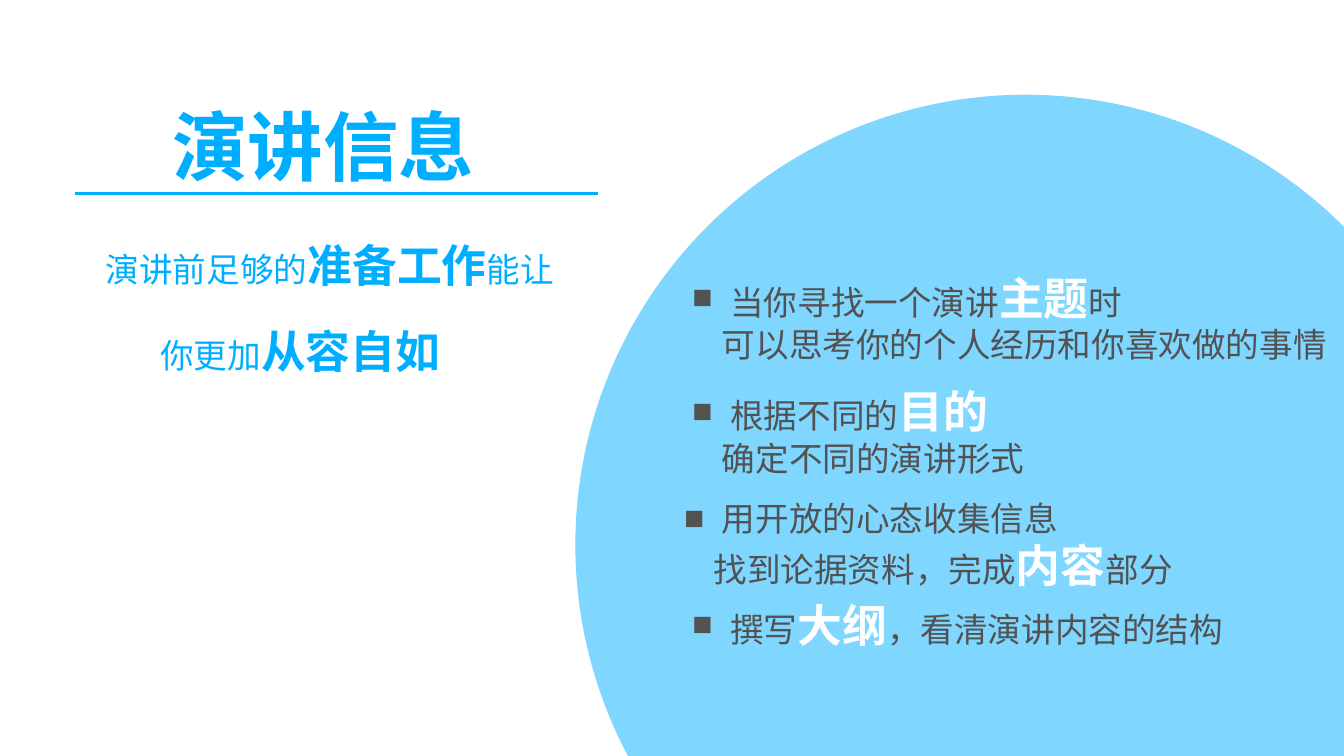
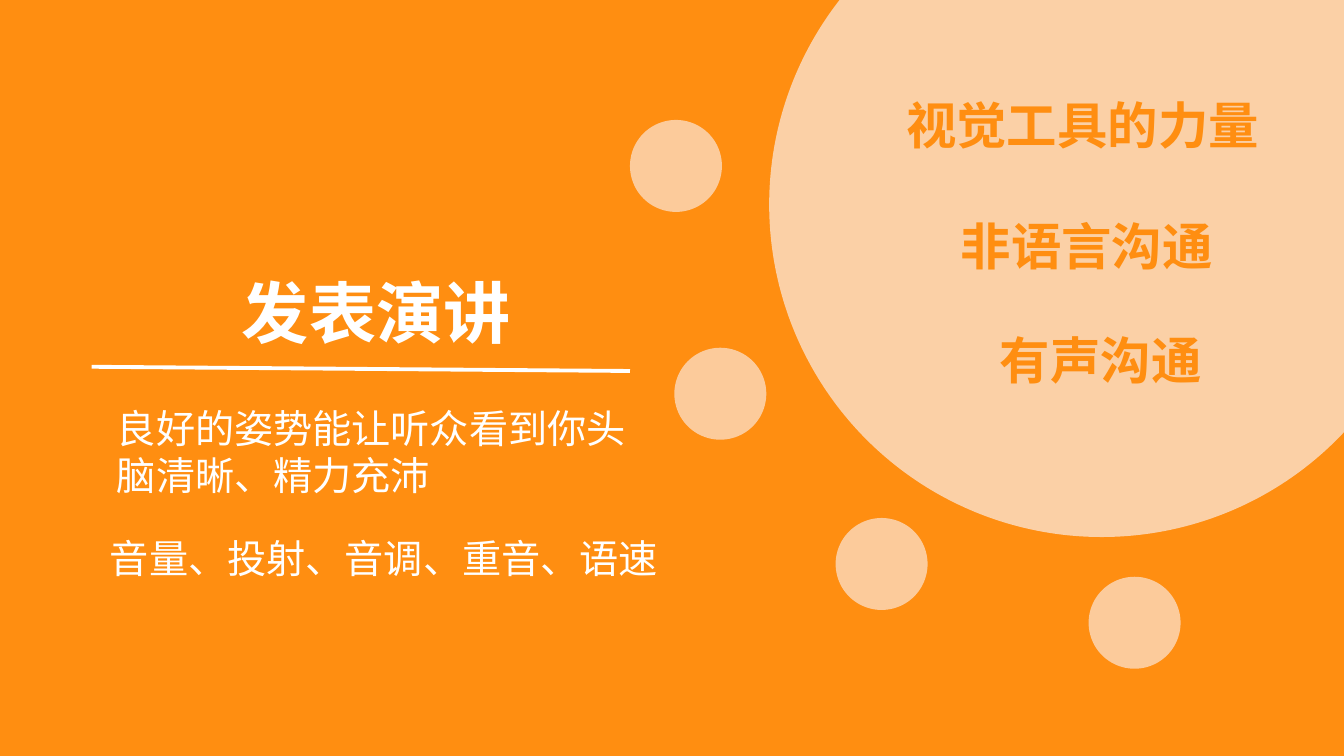
from lxml.etree import SubElement as Sub
from pptx import Presentation
from pptx.dml.color import RGBColor as Rgb
from pptx.enum.shapes import MSO_CONNECTOR as Conn, MSO_SHAPE as Kind
from pptx.enum.text import MSO_ANCHOR as Anchor, MSO_AUTO_SIZE as Auto, PP_ALIGN as Align
from pptx.oxml.ns import qn
from pptx.util import Pt

FONT = "Noto Sans CJK SC"
HUES = {
    "blue": "00AEFF",
    "orange": "FF8E11",
    "peach": "FBE5D6",
    "gray": "525252",
    "white": "FFFFFF",
}
LIST = [
    ("当你寻找一个演讲*主题*时", "可以思考你的个人经历和你喜欢做的事情", 6, 0),
    ("根据不同的*目的*", "确定不同的演讲形式", 6, 14),
    ("用开放的心态收集信息", "找到论据资料，完成*内容*部分", 0, 14),
    ("撰写*大纲*，看清演讲内容的结构", None, 6, 4),
]


def hue(name):
    """Return the named colour."""
    return Rgb.from_string(HUES[name])


def style(run, size, tint, bold):
    """Set the font of a run for Latin and Chinese text."""
    font = run.font
    font.name, font.size, font.bold = FONT, Pt(size), bold
    font.color.rgb = hue(tint)
    Sub(run.font._element, qn("a:ea"), typeface=FONT)


def write(para, text, size, tint, bold=False, big=32, mark=None):
    """Fill a paragraph, enlarging the parts between asterisks."""
    parts = text.split("*")
    para.alignment = Align.LEFT
    para.space_before = para.space_after = Pt(0)
    para.line_spacing = Pt(1.2 * (big if len(parts) > 1 else size))
    for i, part in enumerate(parts):
        if part:
            run = para.add_run()
            run.text = part
            if i % 2:
                style(run, big, mark or tint, True)
            else:
                style(run, size, tint, bold)


def place(shape, left, top, wide, high):
    """Position a text shape and return its frame without insets."""
    shape.left, shape.top = Pt(left), Pt(top)
    shape.width, shape.height = Pt(wide), Pt(high)
    frame = shape.text_frame
    frame.word_wrap, frame.auto_size = True, Auto.NONE
    frame.vertical_anchor = Anchor.TOP
    frame.margin_left = frame.margin_right = Pt(0)
    frame.margin_top = frame.margin_bottom = Pt(0)
    return frame


def title(slide, text, left, top, size, tint):
    """Fill the title placeholder."""
    frame = place(slide.shapes.title, left, top, 5 * size, 1.2 * size)
    write(frame.paragraphs[0], text, size, tint, True)


def note(slide, text, left, top, wide, high, size, tint, bold=False):
    """Add a text box."""
    box = slide.shapes.add_textbox(0, 0, 0, 0)
    frame = place(box, left, top, wide, high)
    write(frame.paragraphs[0], text, size, tint, bold)


def disc(slide, left, top, size, tint, alpha):
    """Add a translucent circle behind the text."""
    shape = slide.shapes.add_shape(Kind.OVAL, Pt(left), Pt(top), Pt(size), Pt(size))
    shape.shadow.inherit = False
    shape.line.fill.background()
    shape.fill.solid()
    shape.fill.fore_color.rgb = hue(tint)
    color = next(shape.element.spPr.iter(qn("a:srgbClr")))
    Sub(color, qn("a:alpha"), val=str(alpha * 1000))
    shape.element.getparent().insert(2, shape.element)


def rule(slide, x1, y1, x2, y2, tint):
    """Draw the line under a title."""
    line = slide.shapes.add_connector(Conn.STRAIGHT, Pt(x1), Pt(y1), Pt(x2), Pt(y2))
    line.line.width = Pt(2.75)
    line.line.color.rgb = hue(tint)
    Sub(line.element.spPr, qn("a:effectLst"))


def indent(para, left, hang, sign=None):
    """Set the indent and the bullet of a paragraph."""
    props = para._p.get_or_add_pPr()
    props.set("marL", str(Pt(left)))
    props.set("indent", str(Pt(-hang)))
    if sign:
        Sub(props, qn("a:buFont"), typeface="Arial")
        Sub(props, qn("a:buChar"), char=sign)
    else:
        Sub(props, qn("a:buNone"))


def points(slide, items, left, top, wide, high):
    """Fill the body placeholder with bulleted pairs of lines."""
    frame = place(slide.placeholders[1], left, top, wide, high)
    para = frame.paragraphs[0]
    for i, (head, more, shift, gap) in enumerate(items):
        if i:
            para = frame.add_paragraph()
        write(para, head, 24, "gray", mark="white")
        para.space_before = Pt(gap)
        indent(para, 27 + shift, 27, "■")
        if more:
            para = frame.add_paragraph()
            write(para, more, 24, "gray", mark="white")
            indent(para, 21 + shift, 0)


def page(deck, layout, tint):
    """Add a slide with a plain background."""
    slide = deck.slides.add_slide(deck.slide_layouts[layout])
    slide.background.fill.solid()
    slide.background.fill.fore_color.rgb = hue(tint)
    return slide


def topic(deck):
    """Build the slide on preparing a speech."""
    slide = page(deck, 1, "white")
    disc(slide, 411, 67.7, 643, "blue", 50)
    title(slide, "演讲信息", 123, 71.3, 54, "blue")
    rule(slide, 53.3, 138.2, 427, 138.2, "blue")
    points(slide, LIST, 488.6, 193, 470, 268)
    note(slide, "演讲前足够的*准备工作*能让", 75.6, 169.8, 340, 39, 24, "blue")
    note(slide, "你更加*从容自如*", 114.5, 230.9, 220, 39, 24, "blue")


def talk(deck):
    """Build the slide on giving a speech."""
    slide = page(deck, 5, "orange")
    disc(slide, 549.4, -91.4, 475, "peach", 76)
    for left, top in [(450, 85.7), (481.7, 248.4), (596.9, 370), (777.6, 412)]:
        disc(slide, left, top, 65.7, "peach", 70)
    for text, left, top in [
        ("视觉工具的力量", 647.3, 67.2),
        ("非语言沟通", 686.2, 153.7),
        ("有声沟通", 714.2, 235.1),
    ]:
        note(slide, text, left, top, 36 * len(text) + 10, 44, 36, "orange", True)
    title(slide, "发表演讲", 172.8, 193.8, 48, "white")
    rule(slide, 65.5, 262, 450, 265, "white")
    note(slide, "良好的姿势能让听众看到你头脑清晰、精力充沛", 83.5, 288.7, 380, 68, 28, "white")
    note(slide, "音量、投射、音调、重音、语速", 78.5, 381.5, 430, 34, 28, "white")


def main():
    """Build and save the deck."""
    deck = Presentation()
    deck.slide_width, deck.slide_height = Pt(960), Pt(540)
    topic(deck)
    talk(deck)
    deck.save("out.pptx")


if __name__ == "__main__":
    main()
